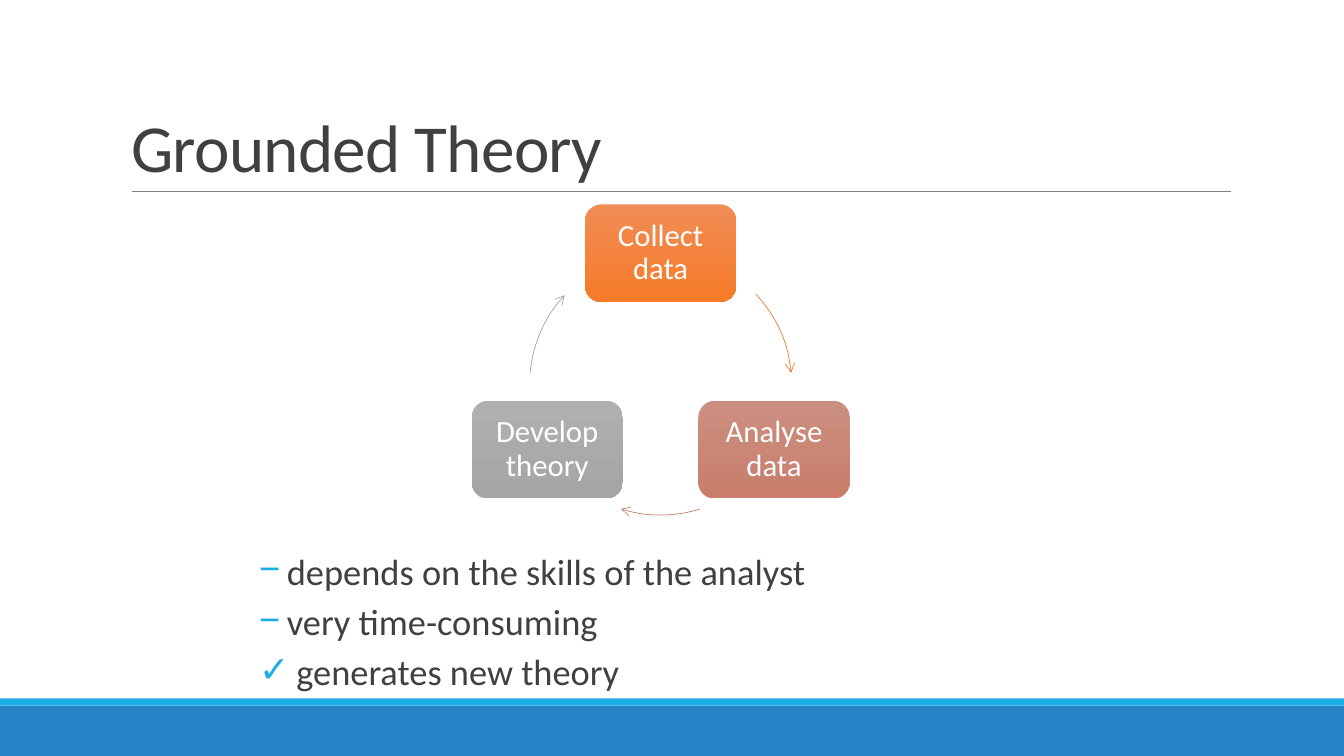
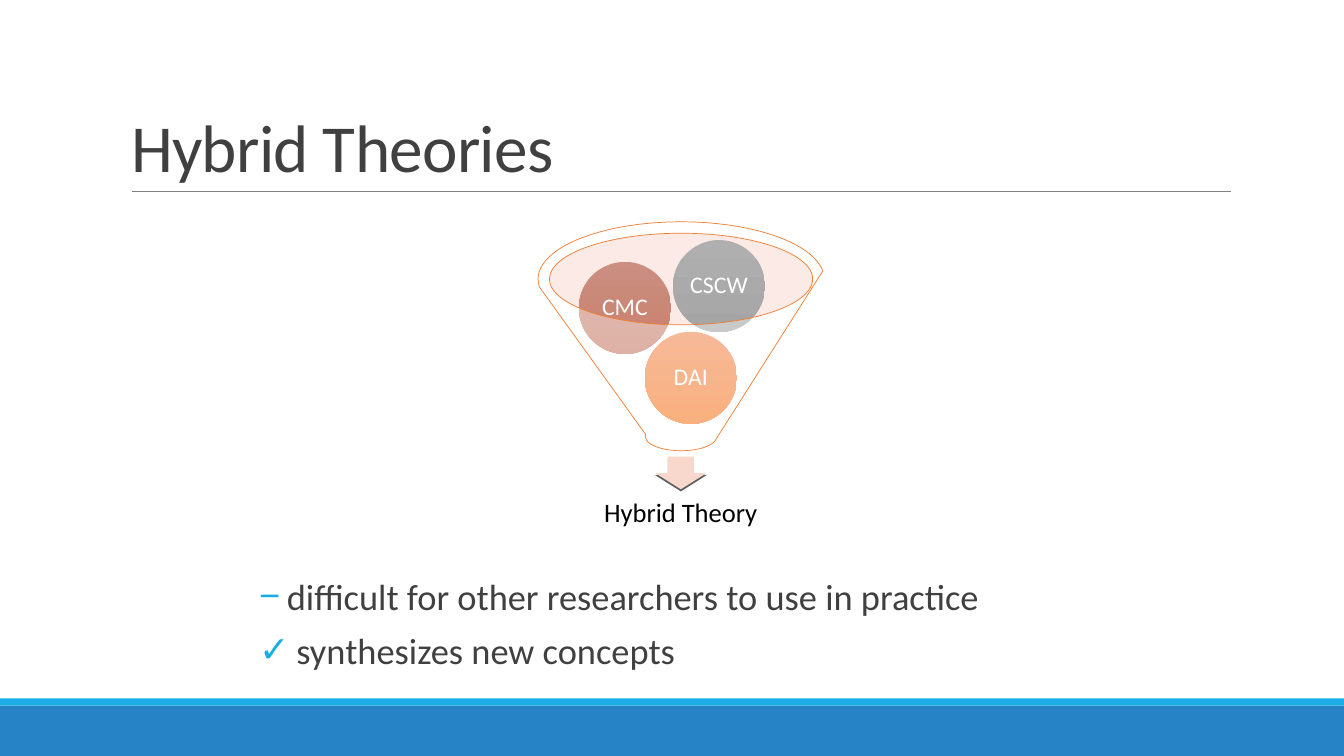
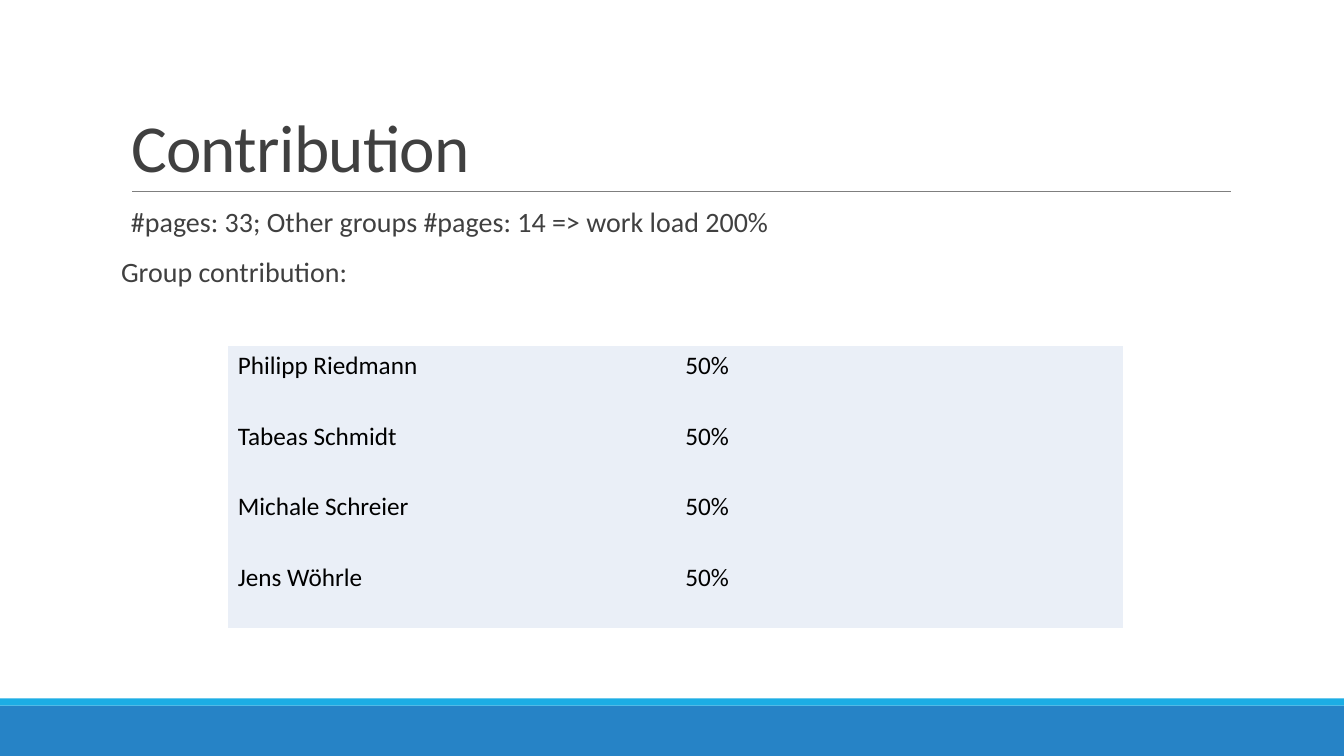
"""Build three slides on grounded theory, hybrid theories and contribution."""

from dataclasses import dataclass
from math import cos, radians, sin

from lxml.etree import SubElement
from pptx import Presentation
from pptx.dml.color import RGBColor
from pptx.enum.shapes import MSO_CONNECTOR as Connector, MSO_SHAPE as Preset
from pptx.enum.text import MSO_ANCHOR as Anchor, MSO_AUTO_SIZE as AutoSize, PP_ALIGN as Align
from pptx.oxml.ns import qn
from pptx.util import Cm, Pt


@dataclass(frozen=True)
class Theme:
    font: str = "Calibri"
    ink: str = "404040"
    black: str = "000000"
    white: str = "FFFFFF"
    band: str = "2683C6"
    accent: str = "1CADE4"
    rule: str = "7F7F7F"
    outline: str = "ED7D31"
    rust_line: str = "C48170"
    gray_line: str = "A5A5A5"
    orange: tuple = ("F18C55", "F67B28")
    rust: tuple = ("CB8F81", "C97E6B")
    gray: tuple = ("AFAFAF", "A5A5A5")
    mouth: str = "F6CCBE"
    arrow: str = "F8D7CD"
    cell: str = "EAEFF7"
    title_size: int = 48
    list_size: int = 26
    node_size: int = 22
    note_size: int = 20
    label_size: int = 19
    table_size: int = 18
    ball_size: int = 17


theme = Theme()


def paint(shape, fill=None, line=None, opacity=None):
    shape.shadow.inherit = False
    if fill is None:
        shape.fill.background()
    elif isinstance(fill, tuple):
        shape.fill.gradient()
        shape.fill.gradient_angle = 270
        for stop, color in zip(shape.fill.gradient_stops, fill):
            stop.color.rgb = RGBColor.from_string(color)
    else:
        shape.fill.solid()
        shape.fill.fore_color.rgb = RGBColor.from_string(fill)
    if opacity:
        color_element = shape.element.spPr.find(qn("a:solidFill"))[0]
        SubElement(color_element, qn("a:alpha"), val=str(opacity * 1000))
    if line:
        shape.line.color.rgb = RGBColor.from_string(line)
        shape.line.width = Pt(0.5)
    else:
        shape.line.fill.background()


def write(frame, text, size, color, margin=None, align=None, spacing=0.9):
    frame.word_wrap = True
    frame.auto_size = AutoSize.NONE
    if margin is not None:
        frame.margin_left = frame.margin_right = Cm(margin)
        frame.margin_top = frame.margin_bottom = Cm(margin)
        frame.vertical_anchor = Anchor.MIDDLE
    paragraph = frame.paragraphs[0]
    if paragraph.runs:
        paragraph = frame.add_paragraph()
    paragraph.alignment = align
    paragraph.line_spacing = spacing
    run = paragraph.add_run()
    run.text = text
    run.font.name = theme.font
    run.font.size = Pt(size)
    run.font.color.rgb = RGBColor.from_string(color)
    return paragraph


presentation = Presentation()
presentation.slide_width = Cm(33.87)
presentation.slide_height = Cm(19.05)
layout = presentation.slide_layouts[1]
for placeholder in list(layout.placeholders)[2:]:
    placeholder.element.getparent().remove(placeholder.element)
title_holder = layout.placeholders[0]
title_holder.left, title_holder.top = Cm(3.05), Cm(0.79)
title_holder.width, title_holder.height = Cm(27.94), Cm(4.04)

slides = []
for title in ("Grounded Theory", "Hybrid Theories", "Contribution"):
    slide = presentation.slides.add_slide(layout)
    frame = slide.shapes.title.text_frame
    frame.vertical_anchor = Anchor.BOTTOM
    paragraph = write(frame, title, theme.title_size, theme.ink, align=Align.LEFT, spacing=0.85)
    paragraph.runs[0].font._element.set("spc", "-50")
    slides.append(slide)
grounded, hybrid, contribution = slides

decorations = []
for top, height, color in ((17.78, 1.27, theme.band), (17.6, 0.18, theme.accent)):
    band = grounded.shapes.add_shape(Preset.RECTANGLE, 0, Cm(top), presentation.slide_width, Cm(height))
    paint(band, color)
    decorations.append(band)
rule = grounded.shapes.add_connector(Connector.STRAIGHT, Cm(3.33), Cm(4.83), Cm(31.01), Cm(4.83))
rule.line.color.rgb = RGBColor.from_string(theme.rule)
rule.line.width = Pt(0.5)
SubElement(rule.element.spPr, qn("a:effectLst"))
decorations.append(rule)
for index, decoration in enumerate(decorations):
    layout.shapes.element.insert(2 + index, decoration.element)

minus, check = ("−", 0.7), ("✓", 0.94)
bodies = (
    (grounded, 6.53, 14, 20.96, 3.5, 0.7, theme.list_size, (
        (minus, "depends on the skills of the analyst"),
        (minus, "very time-consuming"),
        (check, "generates new theory"),
    )),
    (hybrid, 6.53, 14.55, 20.96, 2.9, 0.8, theme.list_size, (
        (minus, "difficult for other researchers to use in practice"),
        (check, "synthesizes new concepts"),
    )),
    (contribution, 3.05, 5.13, 27.94, 2.6, 0.9, theme.note_size, (
        ((None, 0.25), "#pages: 33; Other groups #pages: 14 => work load 200%"),
        ((None, 0), "Group contribution:"),
    )),
)
for slide, left, top, width, height, spacing, size, items in bodies:
    body = slide.placeholders[1]
    body.left, body.top, body.width, body.height = Cm(left), Cm(top), Cm(width), Cm(height)
    frame = body.text_frame
    frame.margin_left = frame.margin_right = 0
    for index, ((bullet, indent), text) in enumerate(items):
        paragraph = write(frame, text, size, theme.ink, spacing=spacing)
        properties = paragraph._p.get_or_add_pPr()
        properties.set("marL", str(Cm(indent)))
        properties.set("indent", str(-Cm(indent) if bullet else 0))
        if bullet:
            bullet_color = SubElement(properties, qn("a:buClr"))
            SubElement(bullet_color, qn("a:srgbClr"), val=theme.accent)
            SubElement(properties, qn("a:buChar"), char=bullet)
        else:
            SubElement(properties, qn("a:buNone"))
        paragraph.space_before = Pt(12 if index else 0)
        paragraph.space_after = Pt(2)

center_x, center_y, radius = 16.65, 9.68, 3.3
node_width, node_height = 3.81, 2.46
cycle = (
    ("Collect data", -90, theme.orange, theme.outline, 316.6, 355.1),
    ("Analyse data", 30, theme.rust, theme.rust_line, 72.4, 107.6),
    ("Develop theory", 150, theme.gray, theme.gray_line, 184.9, 222.8),
)
for text, angle, fill, line, start, end in cycle:
    left = center_x + radius * cos(radians(angle)) - node_width / 2
    top = center_y + radius * sin(radians(angle)) - node_height / 2
    node = grounded.shapes.add_shape(
        Preset.ROUNDED_RECTANGLE, Cm(left), Cm(top), Cm(node_width), Cm(node_height))
    paint(node, fill)
    write(node.text_frame, text, theme.node_size, theme.white, 0.23, Align.CENTER)
    arc = grounded.shapes.add_shape(
        Preset.ARC, Cm(center_x - radius), Cm(center_y - radius), Cm(2 * radius), Cm(2 * radius))
    arc.adjustments[0], arc.adjustments[1] = start * 0.6, end * 0.6
    paint(arc, line=line)
    SubElement(arc.element.spPr.find(qn("a:ln")), qn("a:tailEnd"), type="arrow")

mouth = hybrid.shapes.add_shape(Preset.OVAL, Cm(13.84), Cm(5.87), Cm(6.65), Cm(2.31))
paint(mouth, theme.mouth, opacity=40)
arrow = hybrid.shapes.add_shape(Preset.DOWN_ARROW, Cm(16.51), Cm(11.51), Cm(1.3), Cm(0.82))
paint(arrow, theme.arrow)
shadow = SubElement(
    arrow.element.spPr.find(qn("a:effectLst")), qn("a:outerShdw"),
    blurRad="0", dist=str(Pt(1.5)), dir="5400000", rotWithShape="0")
shadow_color = SubElement(shadow, qn("a:srgbClr"), val=theme.black)
SubElement(shadow_color, qn("a:alpha"), val="63000")
label = hybrid.shapes.add_textbox(Cm(14.07), Cm(12.17), Cm(6.17), Cm(1.55))
write(label.text_frame, "Hybrid Theory", theme.label_size, theme.black, 0.38, Align.CENTER)

ball_size = 2.32
for text, left, top, fill in (
    ("DAI", 16.25, 8.36, theme.orange),
    ("CMC", 14.59, 6.6, theme.rust),
    ("CSCW", 16.96, 6.05, theme.gray),
):
    ball = hybrid.shapes.add_shape(Preset.OVAL, Cm(left), Cm(top), Cm(ball_size), Cm(ball_size))
    paint(ball, fill)
    write(ball.text_frame, text, theme.ball_size, theme.white, 0.05, Align.CENTER)
    ball.text_frame.word_wrap = False
funnel = hybrid.shapes.add_shape(Preset.FUNNEL, Cm(13.56), Cm(5.59), Cm(7.21), Cm(5.77))
paint(funnel, theme.white, theme.outline, opacity=40)

members = ("Philipp Riedmann", "Tabeas Schmidt", "Michale Schreier", "Jens Wöhrle")
table_shape = contribution.shapes.add_table(
    len(members), 2, Cm(5.74), Cm(8.71), Cm(22.56), Cm(7.12))
table = table_shape.table
table.first_row = table.horz_banding = False
table._tbl.tblPr.find(qn("a:tableStyleId")).text = "{2D5ABB26-0587-4C30-8999-92F81FD0307C}"
for row, member in zip(table.rows, members):
    for cell, text in zip(row.cells, (member, "50%")):
        cell.fill.solid()
        cell.fill.fore_color.rgb = RGBColor.from_string(theme.cell)
        run = cell.text_frame.paragraphs[0].add_run()
        run.text = text
        run.font.name = theme.font
        run.font.size = Pt(theme.table_size)
        run.font.color.rgb = RGBColor.from_string(theme.black)

presentation.save("out.pptx")
